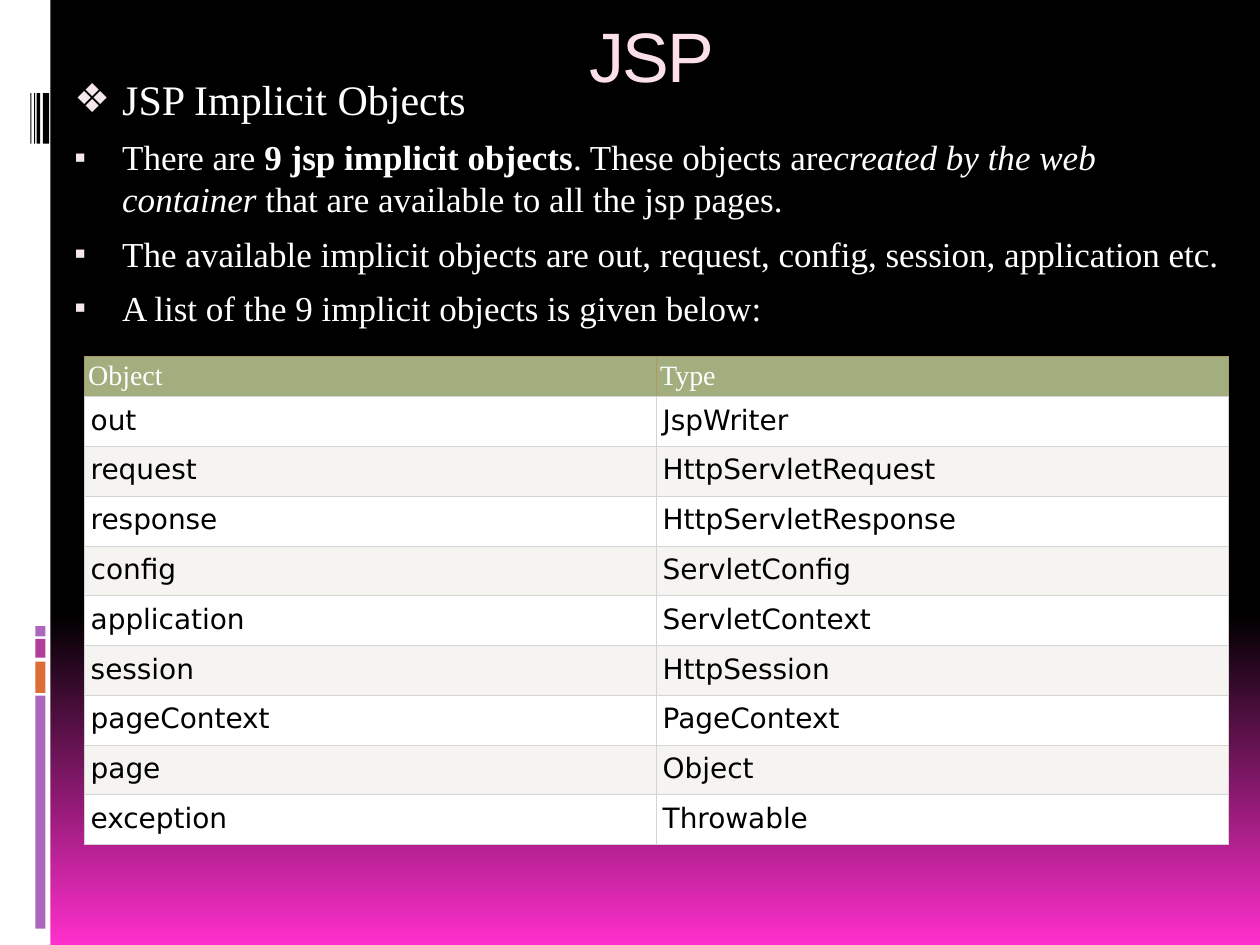
from copy import deepcopy

from pptx import Presentation
from pptx.dml.color import RGBColor
from pptx.enum import shapes, text
from pptx.oxml import ns, xmlchemy
from pptx.util import Inches, Pt

SERIF = "Times New Roman"
WHITE, BLACK, PURPLE = "FFFFFF", "000000", "AC66BB"
GRADIENT = [(0, BLACK), (0.65, BLACK), (1, "FF2FCD")]
SIDEBAR = [  # left, top, width, height, colour
    (0, 0, 0.4, 7.5, WHITE),
    (0.28, 5.52, 0.08, 1.85, PURPLE),
    (0.28, 5.25, 0.08, 0.25, "DE6C36"),
    (0.28, 5.07, 0.08, 0.15, "B13F9A"),
    (0.28, 4.97, 0.08, 0.08, PURPLE),
]
BARCODE = [(0.34, 0.05), (0.29, 0.03), (0.27, 0.01), (0.24, 0.01)]  # left, width
SIDEBAR += [(left, 0.74, width, 0.4, BLACK) for left, width in BARCODE]

BULLETS = [  # bullet, size, runs of (text, style)
    ("❖", 24, [("JSP Implicit Objects", "")]),
    ("▪", 20, [
        ("There are ", ""),
        ("9 jsp implicit objects", "bold"),
        (". These objects are", ""),
        ("created by the web container", "italic"),
        (" that are available to all the jsp pages.", ""),
    ]),
    ("▪", 20, [("The available implicit objects are out, request, config, "
                "session, application etc.", "")]),
    ("▪", 20, [("A list of the 9 implicit objects is given below:", "")]),
]
OBJECTS = [
    ("Object", "Type"),
    ("out", "JspWriter"),
    ("request", "HttpServletRequest"),
    ("response", "HttpServletResponse"),
    ("config", "ServletConfig"),
    ("application", "ServletContext"),
    ("session", "HttpSession"),
    ("pageContext", "PageContext"),
    ("page", "Object"),
    ("exception", "Throwable"),
]
GRID, HEADER_GRID = "D4D4D4", "AB9A61"


def rgb(colour):
    return RGBColor.from_string(colour)


def set_font(font, name, size, colour):
    font.name, font.size, font.color.rgb = name, Pt(size), rgb(colour)


def add_xml(parent, tag, **attributes):
    element = xmlchemy.OxmlElement(tag)
    for key, value in attributes.items():
        element.set(key, str(value))
    parent.append(element)
    return element


def paint_background(slide):
    fill = slide.background.fill
    fill.gradient()
    fill.gradient_angle = 270
    first = next(slide.element.iter(ns.qn("a:gs")))
    first.addnext(deepcopy(first))
    for stop, (position, colour) in zip(fill.gradient_stops, GRADIENT):
        stop.position = position
        stop.color.rgb = rgb(colour)


def place(placeholder, left, top, width, height, inset_top):
    placeholder.left, placeholder.top = Inches(left), Inches(top)
    placeholder.width, placeholder.height = Inches(width), Inches(height)
    frame = placeholder.text_frame
    frame.auto_size = text.MSO_AUTO_SIZE.NONE
    frame.vertical_anchor = text.MSO_ANCHOR.TOP
    frame.margin_top = Inches(inset_top)
    return frame


def add_bullet(paragraph, bullet, size, runs):
    paragraph.space_before = Pt(7)
    set_font(paragraph.font, SERIF, size, WHITE)
    properties = paragraph._p.get_or_add_pPr()
    properties.set("marL", str(Inches(0.45)))
    properties.set("indent", str(Inches(-0.38)))
    marks = [
        add_xml(properties, "a:buClr"),
        add_xml(properties, "a:buSzPct", val=95000),
        add_xml(properties, "a:buChar", char=bullet),
    ]
    add_xml(marks[0], "a:srgbClr", val="F4E7ED")
    default_font = properties.find(ns.qn("a:defRPr"))
    for mark in marks:
        default_font.addprevious(mark)
    for words, style in runs:
        run = paragraph.add_run()
        run.text = words
        if style:
            setattr(run.font, style, True)


def set_borders(cell, colours):
    """Draw the left, right, top and bottom lines of a cell."""
    properties = cell._tc.get_or_add_tcPr()
    for index, (side, colour) in enumerate(zip("LRTB", colours)):
        line = add_xml(properties, f"a:ln{side}", w=Pt(0.75))
        add_xml(add_xml(line, "a:solidFill"), "a:srgbClr", val=colour)
        properties.insert(index, line)


def add_object_table(slide):
    table = slide.shapes.add_table(
        len(OBJECTS), 2, Inches(0.67), Inches(2.83), Inches(9.08), Inches(3.92)
    ).table
    table.first_row = table.horz_banding = False
    for i, values in enumerate(OBJECTS):
        header = i == 0
        table.rows[i].height = Inches(0.32 if header else 0.395)
        fill = "A3AE7E" if header else (WHITE if i % 2 else "F6F4F0")
        side, vertical = (0.03, 0.03) if header else (0.05, 0.06)
        for j, value in enumerate(values):
            cell = table.cell(i, j)
            cell.text = value
            cell.margin_left = cell.margin_right = Inches(side)
            cell.margin_top = cell.margin_bottom = Inches(vertical)
            cell.fill.solid()
            cell.fill.fore_color.rgb = rgb(fill)
            set_font(cell.text_frame.paragraphs[0].font,
                     SERIF if header else "DejaVu Sans", 16,
                     WHITE if header else BLACK)
            set_borders(cell, [HEADER_GRID] * 3 + [GRID] if header else [GRID] * 4)


def main():
    presentation = Presentation()
    presentation.slide_width, presentation.slide_height = Inches(10), Inches(7.5)
    slide = presentation.slides.add_slide(presentation.slide_layouts[1])
    paint_background(slide)

    for *box, colour in SIDEBAR:
        bar = slide.shapes.add_shape(
            shapes.MSO_SHAPE.RECTANGLE, *(Inches(length) for length in box))
        bar.shadow.inherit = False
        bar.fill.solid()
        bar.fill.fore_color.rgb = rgb(colour)
        bar.line.fill.background()

    title = place(slide.shapes.title, 0.92, 0, 8.5, 1, 0.1).paragraphs[0]
    title.alignment = text.PP_ALIGN.CENTER
    run = title.add_run()
    run.text = "JSP"
    set_font(run.font, "Arial", 40, "FBE0EC")
    run.font._element.set("spc", "-100")

    body = place(slide.placeholders[1], 0.42, 0.58, 9.58, 6.75, 0)
    body.margin_right = Inches(0.2)
    for i, bullet in enumerate(BULLETS):
        add_bullet(body.add_paragraph() if i else body.paragraphs[0], *bullet)

    add_object_table(slide)
    presentation.save("out.pptx")


if __name__ == "__main__":
    main()
